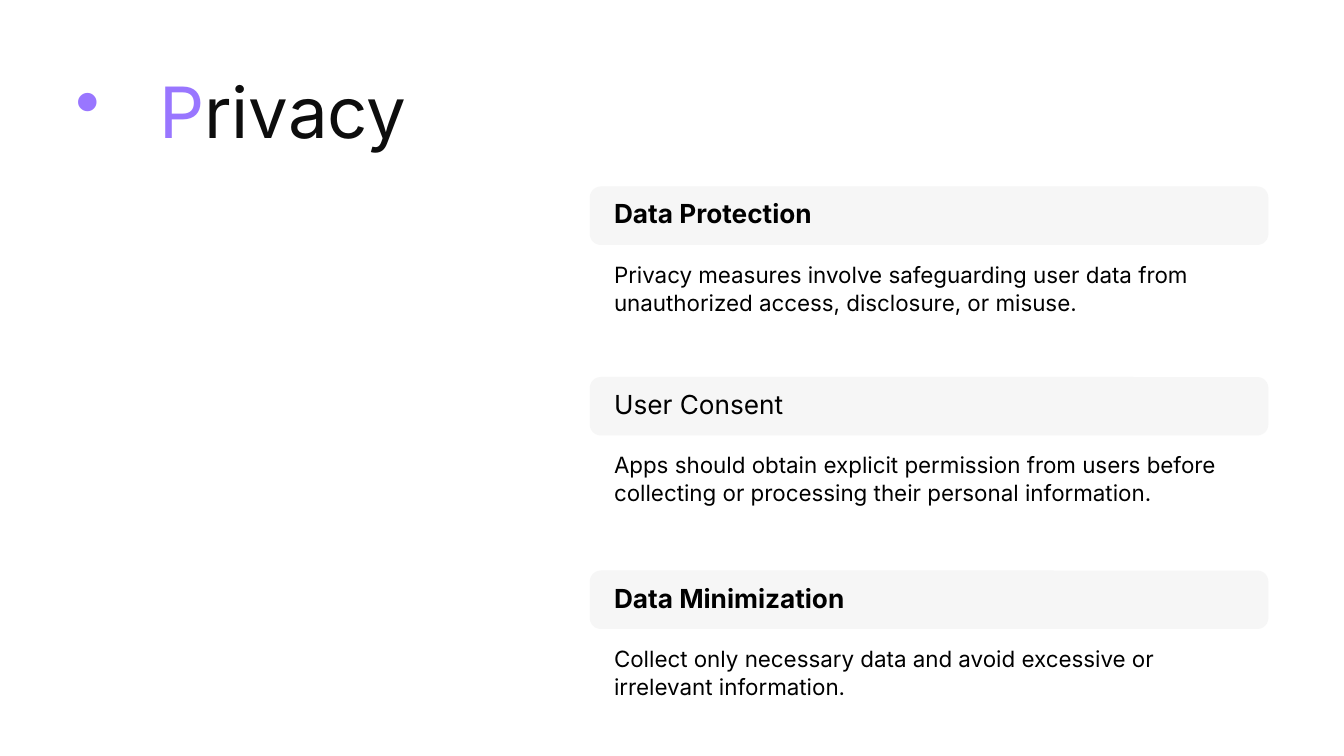
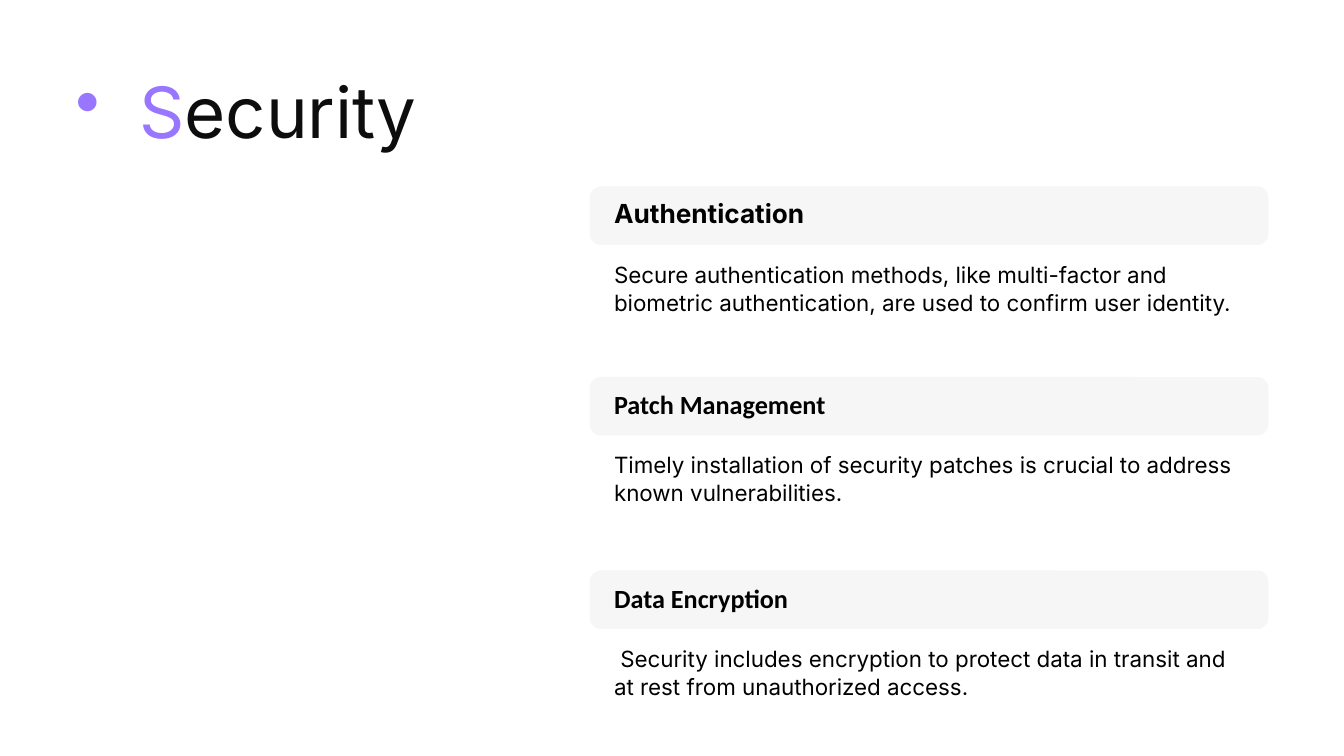
"""Build the Privacy and Security slides."""
from pptx import Presentation
from pptx import util as u
from pptx.dml.color import RGBColor
from pptx.enum import shapes, text
from pptx.oxml.ns import qn
from lxml import etree

PX = 9144
COLORS = {"accent": "9976FF", "title": "0D0D0D", "body": "000000", "band": "F1F1F1"}
TITLE = {"name": "Inter", "size": u.Pt(50.5)}
HEAD = {"size": u.Pt(18.7)}
BODY = {"name": "Inter", "size": u.Pt(16)}
TOPS = [185, 374, 566]

SLIDES = [
    ("Privacy", 83, [
        ("Data Protection", "Inter", True,
         "Privacy measures involve safeguarding user data from unauthorized access, "
         "disclosure, or misuse."),
        ("User Consent", "Inter", False,
         "Apps should obtain explicit permission from users before collecting or "
         "processing their personal information."),
        ("Data Minimization", "Inter", True,
         "Collect only necessary data and avoid excessive or irrelevant information."),
    ]),
    ("Security", 63, [
        ("Authentication", "Inter", True,
         "Secure authentication methods, like multi-factor and biometric "
         "authentication, are used to confirm user identity."),
        ("Patch Management", "Calibri", True,
         "Timely installation of security patches is crucial to address known "
         "vulnerabilities."),
        ("Data Encryption", "Calibri", True,
         " Security includes encryption to protect data in transit and at rest from "
         "unauthorized access."),
    ]),
]


def place(*sizes):
    return [size * PX for size in sizes]


def write(parent, rect, runs, style, lead):
    frame = parent.add_textbox(*place(*rect)).text_frame
    margins = {f"margin_{side}": 0 for side in ("left", "top", "right", "bottom")}
    layout = {"word_wrap": True, "auto_size": text.MSO_AUTO_SIZE.SHAPE_TO_FIT_TEXT}
    for key, value in {**margins, **layout}.items():
        setattr(frame, key, value)
    para = frame.paragraphs[0]
    para.line_spacing = u.Pt(lead)
    for words, color in runs:
        run = para.add_run()
        run.text = words
        for key, value in style.items():
            setattr(run.font, key, value)
        run.font.color.rgb = RGBColor.from_string(COLORS[color])
    return para


deck = Presentation()
deck.slide_width, deck.slide_height = place(1333, 750)

for title, indent, cards in SLIDES:
    slide = deck.slides.add_slide(deck.slide_layouts[6])
    runs = [(title[0], "accent"), (title[1:], "title")]
    para = write(slide.shapes, (75, 75, 429, 77), runs, TITLE, 55.2)
    props = para._p.get_or_add_pPr()
    props.set("marL", str(indent * PX))
    props.set("indent", str(-indent * PX))
    etree.SubElement(props, qn("a:buChar"), char="•")

    for top, (head, font, bold, body) in zip(TOPS, cards):
        card = slide.shapes.add_group_shape().shapes
        band = card.add_shape(shapes.MSO_SHAPE.ROUNDED_RECTANGLE,
                              *place(585, top, 673, 58))
        band.adjustments[0] = 0.19
        band.shadow.inherit = False
        band.line.fill.background()
        band.fill.solid()
        band.fill.fore_color.rgb = RGBColor.from_string(COLORS["band"])
        tint = band.fill._xPr.find(".//" + qn("a:srgbClr"))
        etree.SubElement(tint, qn("a:alpha"), val="64000")
        style = {**HEAD, "name": font, "bold": bold}
        write(card, (609, top + 11, 625, 31), [(head, "body")], style, 22.6)
        write(card, (609, top + 73, 625, 54), [(body, "body")], BODY, 19.8)

deck.save("out.pptx")
